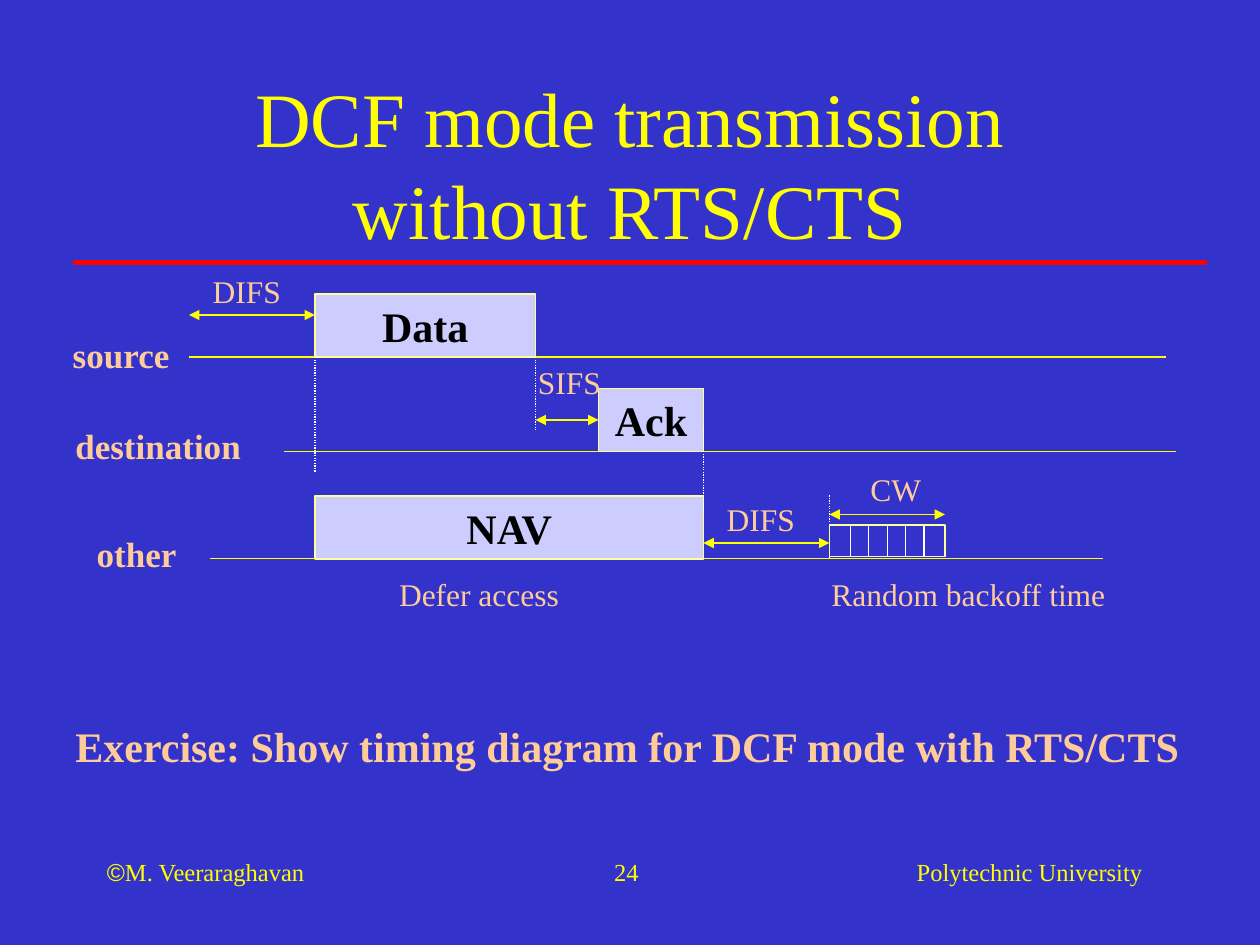
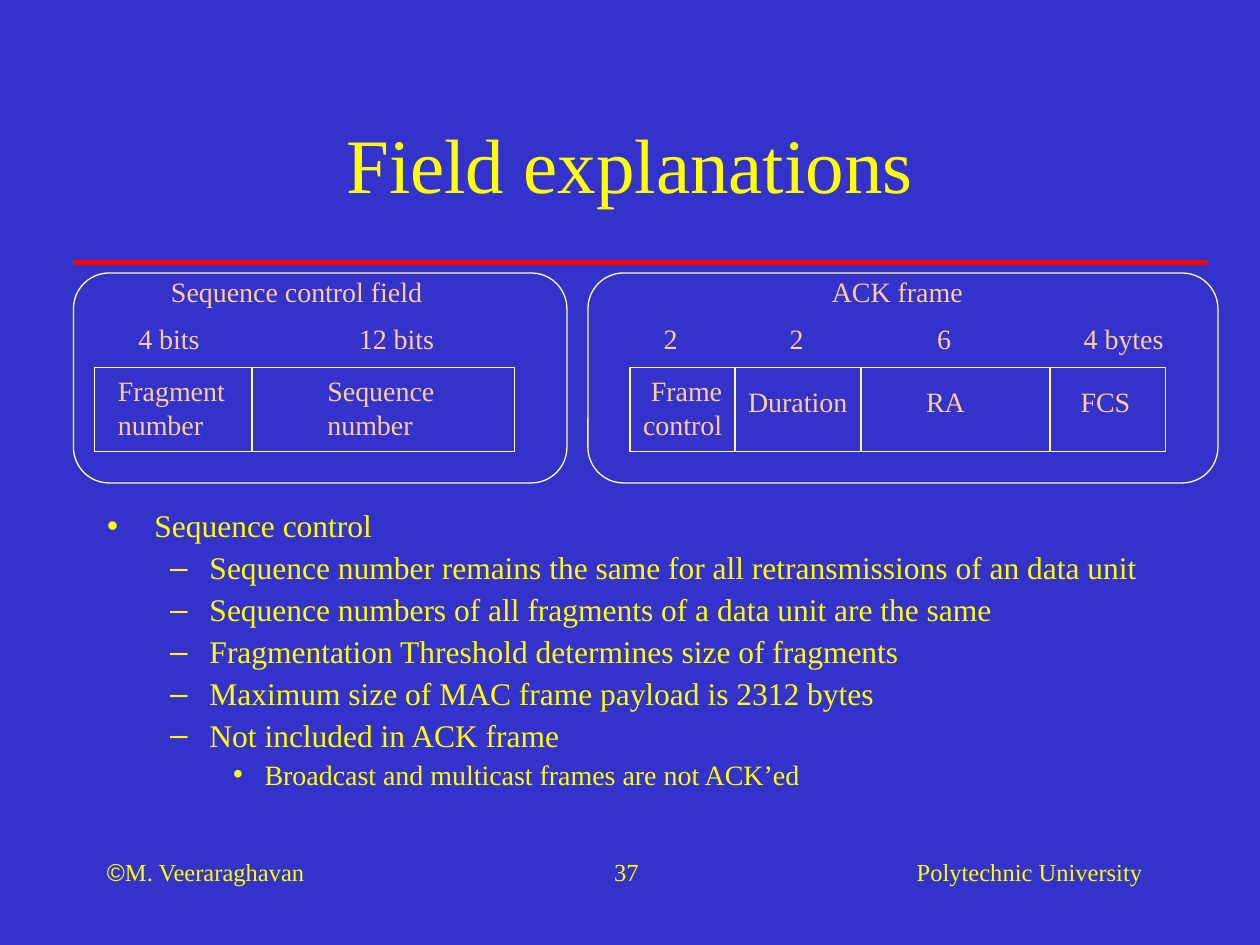
from lxml import etree
from pptx import Presentation
from pptx.dml.color import RGBColor
from pptx.enum import dml, shapes, text
from pptx.oxml.ns import qn
from pptx.util import Pt

FONT = "Times New Roman"
BLUE, YELLOW, RED = "3333CC", "FFFF00", "FF0000"
PEACH, CREAM, LILAC, WHITE, BLACK = "FFCC99", "FFFF99", "CCCCFF", "FFFFFF", "000000"
LEFT, CENTER, RIGHT = text.PP_ALIGN.LEFT, text.PP_ALIGN.CENTER, text.PP_ALIGN.RIGHT
SLACK = 2  # spare width that keeps a one-line label on one line

TITLE_BOX = (54, 48, 612, 90)
AUTHOR, SCHOOL = "M. Veeraraghavan", "Polytechnic University"

# Slide 1: timing diagram
TIMING_TITLE = "DCF mode transmission\vwithout RTS/CTS"
STATIONS = [  # name, label left, label top, label width, line start, line end, line y
    ("source", 34.5, 187.2, 70, 108, 666, 204),
    ("destination", 36, 239, 109, 162, 672, 258),
    ("other", 48.2, 301, 60, 120, 630, 319),
]
BLOCKS = [  # name, left, top, width
    ("Data", 180, 168, 126),
    ("Ack", 342, 222, 60),
    ("NAV", 180, 283.5, 222),
]
INTERVALS = [  # name, label left, label top, label width, from, to, arrow y
    ("DIFS", 114.3, 152, 53.3, 108, 180, 180),
    ("SIFS", 300, 203.8, 50.4, 306, 342, 240),
    ("DIFS", 408, 282, 53.3, 402, 474, 310.3),
    ("CW", 490.3, 265, 43.2, 474, 540, 294),
]
GUIDES = [  # x, from y, to y
    (180, 204, 270), (306, 204, 246), (402, 246, 294), (474, 283, 319),
]
CAPTIONS = [  # text, left, top, width, size, bold
    ("Defer access", 221, 325.3, 106, 18, False),
    ("Random backoff time", 468, 325.3, 171, 18, False),
    ("Exercise: Show timing diagram for DCF mode with RTS/CTS",
     36, 408, 647, 24, True),
]
BACKOFF = (474, 300, 66, 18)
SLOT_FIRST, SLOT_STEP, SLOT_LINES = 486, 10.5, 5

# Slide 2: frame fields
FIELDS_TITLE = "Field explanations"
FRAME_TOP, FRAME_HEIGHT = 210, 48
PANELS = [
    {"panel": (42, 156, 282, 120), "frame": (54, 240), "dividers": [144],
     "heading": ("Sequence control field", 90.4, 158),
     "fields": [  # name, left, top, width, alignment
         ("Fragment\nnumber", 60.3, 210, 75.6, LEFT),
         ("Sequence\nnumber", 180, 210, 75.6, LEFT)],
     "sizes": [("4 bits", 72, 49.2), ("12 bits", 198, 57.2)]},
    {"panel": (336, 156, 360, 120), "frame": (360, 306),
     "dividers": [420, 492, 600],
     "heading": ("ACK frame", 468, 89.3),
     "fields": [
         ("Frame\ncontrol", 360, 210, 59.8, RIGHT),
         ("Duration", 420.3, 216, 71, RIGHT),
         ("RA", 522, 216, 36.5, RIGHT),
         ("FCS", 610.2, 216, 42.8, RIGHT)],
     "sizes": [("2", 372, 22.3), ("2", 444, 22.3), ("6", 528.3, 22.3),
               ("4 bytes", 612, 60)]},
]
BODY_BOX = (54, 288, 612, 174)
BULLETS = [  # level, text
    (0, "Sequence control"),
    (1, "Sequence number remains the same for all retransmissions of an data unit"),
    (1, "Sequence numbers of all fragments of a data unit are the same"),
    (1, "Fragmentation Threshold determines size of fragments"),
    (1, "Maximum size of MAC frame payload is 2312 bytes"),
    (1, "Not included in ACK frame"),
    (2, "Broadcast and multicast frames are not ACK’ed"),
]
LEVEL_FORMATS = [(18, 4.5), (18, 4.5), (16, 4)]  # size, space before


def rgb(value):
    return RGBColor.from_string(value)


def set_font(font, size, color, bold=False, name=FONT):
    for key, value in {"size": Pt(size), "bold": bold, "name": name}.items():
        setattr(font, key, value)
    font.color.rgb = rgb(color)


def place(sp, box):
    for key, value in zip(("left", "top", "width", "height"), box):
        setattr(sp, key, Pt(value))


def write(tf, content, size, color, bold=False, align=LEFT):
    tf.text = content
    for p in tf.paragraphs:
        p.alignment = align
        set_font(p.font, size, color, bold)
        for r in p.runs:
            set_font(r.font, size, color, bold)


def add_text(s, content, box, size, color=PEACH, bold=False, align=LEFT):
    tf = s.shapes.add_textbox(*map(Pt, box)).text_frame
    tf.word_wrap = True
    write(tf, content, size, color, bold, align)
    return tf


def add_label(s, content, box, size, bold=False, align=LEFT):
    """Add unwrapped text, with the spare width on its unaligned side."""
    left, top, width, height = box
    if align == RIGHT:
        left -= SLACK
    tf = add_text(s, content, (left, top, width + SLACK, height), size,
                  bold=bold, align=align)
    tf.word_wrap = False
    tf.auto_size = text.MSO_AUTO_SIZE.SHAPE_TO_FIT_TEXT


def add_line(s, x1, y1, x2, y2, color, width=0.75, dotted=False, arrows=False):
    c = s.shapes.add_connector(shapes.MSO_CONNECTOR.STRAIGHT,
                               *map(Pt, (x1, y1, x2, y2)))
    c.line.color.rgb = rgb(color)
    c.line.width = Pt(width)
    if dotted:
        c.line.dash_style = dml.MSO_LINE.ROUND_DOT
    sp_pr = c._element.spPr
    if arrows:
        for end in ("a:headEnd", "a:tailEnd"):
            etree.SubElement(sp_pr.find(qn("a:ln")), qn(end), type="triangle")
    etree.SubElement(sp_pr, qn("a:effectLst"))


def add_box(s, box, fill=None, kind=shapes.MSO_SHAPE.RECTANGLE):
    sp = s.shapes.add_shape(kind, *map(Pt, box))
    sp.shadow.inherit = False
    if fill:
        sp.fill.solid()
        sp.fill.fore_color.rgb = rgb(fill)
    else:
        sp.fill.background()
    sp.line.color.rgb = rgb(CREAM)
    sp.line.width = Pt(0.75)
    return sp


def start_slide(prs, layout, title, number):
    """Add a slide with its title, red rule and footer."""
    s = prs.slides.add_slide(prs.slide_layouts[layout])
    sp = s.shapes.title
    place(sp, TITLE_BOX)
    tf = sp.text_frame
    tf.auto_size = text.MSO_AUTO_SIZE.NONE
    tf.vertical_anchor = text.MSO_ANCHOR.MIDDLE
    write(tf, title, 44, YELLOW, align=CENTER)

    add_line(s, 42, 150, 690, 150, RED, 3)
    add_text(s, SCHOOL, (486, 486, 174, 36), 14, YELLOW, align=RIGHT)
    add_text(s, str(number), (306, 486, 66, 36), 14, YELLOW, align=RIGHT)
    p = add_text(s, "©", (54, 486, 138, 36), 14, YELLOW).paragraphs[0]
    p.runs[0].font.name = "Arial"
    r = p.add_run()
    r.text = AUTHOR
    set_font(r.font, 14, YELLOW)
    return s


def build_timing(prs):
    s = start_slide(prs, 5, TIMING_TITLE, 24)
    for name, left, top, width, start, end, y in STATIONS:
        add_line(s, start, y, end, y, YELLOW)
        add_label(s, name, (left, top, width, 31.5), 20, bold=True)
    for name, left, top, width in BLOCKS:
        tf = add_box(s, (left, top, width, 36), LILAC).text_frame
        tf.vertical_anchor = text.MSO_ANCHOR.MIDDLE
        write(tf, name, 24, BLACK, True, CENTER)
    for x, y1, y2 in GUIDES:
        add_line(s, x, y1, x, y2, WHITE, dotted=True)
    for name, left, top, width, start, end, y in INTERVALS:
        add_line(s, start, y, end, y, YELLOW, arrows=True)
        add_label(s, name, (left, top, width, 28.8), 18, align=RIGHT)
    for caption, left, top, width, size, bold in CAPTIONS:
        add_label(s, caption, (left, top, width, size * 1.6), size, bold)

    _, top, _, height = BACKOFF
    for i in range(SLOT_LINES):
        x = SLOT_FIRST + i * SLOT_STEP
        add_line(s, x, top, x, top + height, WHITE)
    add_box(s, BACKOFF)


def build_fields(prs):
    s = start_slide(prs, 1, FIELDS_TITLE, 37)
    body = s.placeholders[1]
    place(body, BODY_BOX)
    tf = body.text_frame
    tf.auto_size = text.MSO_AUTO_SIZE.NONE
    write(tf, "\n".join(line for _, line in BULLETS), 18, YELLOW)
    for i, (p, (level, _)) in enumerate(zip(tf.paragraphs, BULLETS)):
        size, before = LEVEL_FORMATS[level]
        formats = {"level": level, "line_spacing": 0.9,
                   "space_before": Pt(before if i else 0)}
        for key, value in formats.items():
            setattr(p, key, value)
        p.runs[0].font.size = Pt(size)

    for part in PANELS:
        left, width = part["frame"]
        add_box(s, (left, FRAME_TOP, width, FRAME_HEIGHT))
        for x in part["dividers"]:
            add_line(s, x, FRAME_TOP, x, FRAME_TOP + FRAME_HEIGHT, CREAM)
        for name, left, top, width, align in part["fields"]:
            height = 7.2 + 19.4 * len(name.split("\n"))
            add_label(s, name, (left, top, width, height), 16, align=align)
        for size, left, width in part["sizes"]:
            add_label(s, size, (left, 180, width, 26.6), 16, align=RIGHT)
        heading, left, width = part["heading"]
        add_label(s, heading, (left, 153.6, width, 26.6), 16, align=RIGHT)
        panel = add_box(s, part["panel"], kind=shapes.MSO_SHAPE.ROUNDED_RECTANGLE)
        panel.adjustments[0] = 0.17


def main():
    prs = Presentation()
    prs.slide_width, prs.slide_height = Pt(720), Pt(540)
    fill = prs.slide_master.background.fill
    fill.solid()
    fill.fore_color.rgb = rgb(BLUE)
    build_timing(prs)
    build_fields(prs)
    prs.save("out.pptx")


if __name__ == "__main__":
    main()
